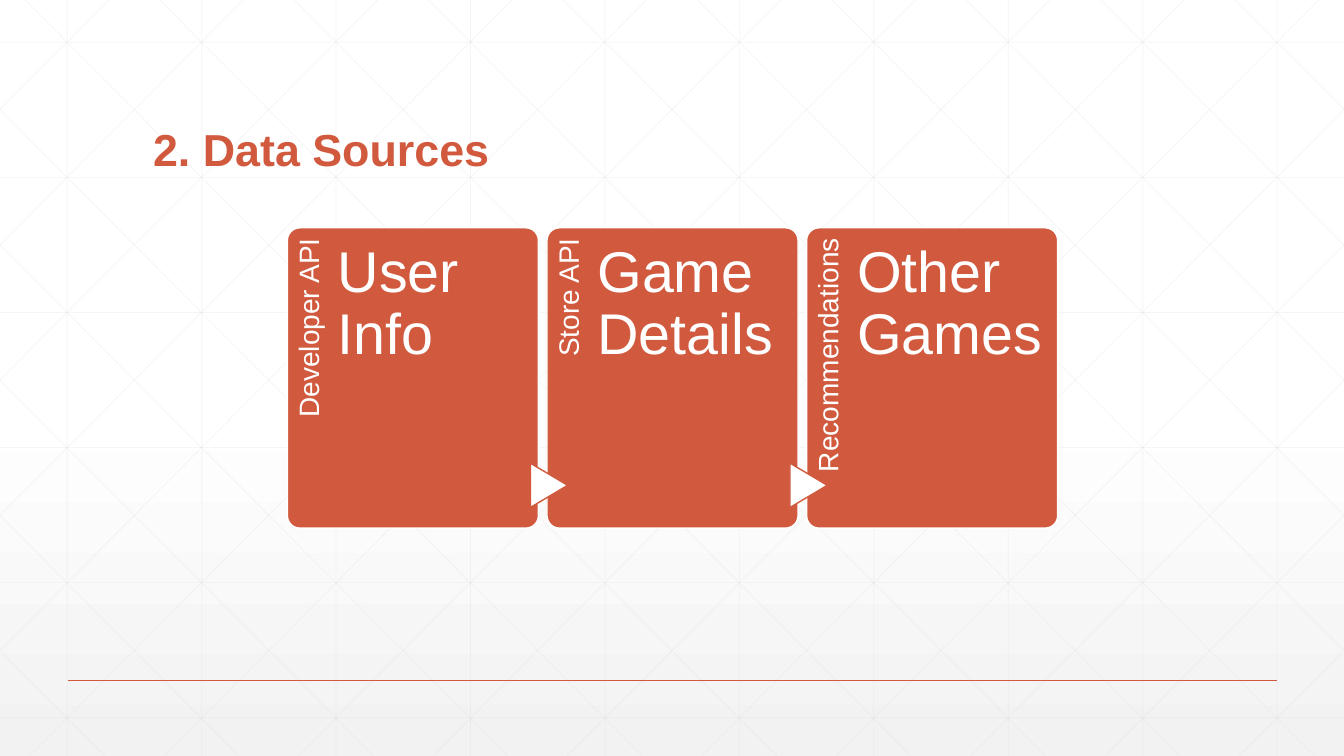
from copy import deepcopy

from lxml import etree
from pptx import Presentation
from pptx.dml.color import RGBColor
from pptx.enum import shapes, text
from pptx.oxml import ns
from pptx.util import Inches, Pt

RUST = RGBColor(0xD1, 0x5A, 0x3E)
WHITE = RGBColor(0xFF, 0xFF, 0xFF)
PALE = RGBColor(0xF2, 0xF2, 0xF2)
GRID = RGBColor(0xD9, 0xD9, 0xD9)
FONT = "Arial"

WIDTH, HEIGHT = 13.33, 7.5
STEP = 4 / 3
SLOPE = 1.006

CARD_LEFT, CARD_TOP, CARD_W, CARD_H = 2.85, 2.26, 2.49, 2.98
CARD_PITCH = 2.575
CARDS = [
    ("Developer API", "User Info"),
    ("Store API", "Game Details"),
    ("Recommendations", "Other Games"),
]


def paint_background(s):
    """Fade the slide from white to pale grey at the bottom."""
    fill = s.background.fill
    fill.gradient()
    fill.gradient_angle = 270
    first = fill.gradient_stops[0]._gs
    first.addnext(deepcopy(first))
    stops = [(0, WHITE), (0.53, WHITE), (1, PALE)]
    for stop, (position, color) in zip(fill.gradient_stops, stops):
        stop.position = position
        stop.color.rgb = color


def add_line(s, x1, y1, x2, y2, color, width, opacity=100):
    """Draw a straight line without a shadow."""
    c = s.shapes.add_connector(shapes.MSO_CONNECTOR.STRAIGHT,
                               Inches(x1), Inches(y1), Inches(x2), Inches(y2))
    c.line.color.rgb = color
    c.line.width = Pt(width)
    sp_pr = c._element.spPr
    if opacity < 100:
        rgb = sp_pr.find(".//" + ns.qn("a:srgbClr"))
        etree.SubElement(rgb, ns.qn("a:alpha"), val=str(opacity * 1000))
    etree.SubElement(sp_pr, ns.qn("a:effectLst"))


def add_grid(s):
    """Draw the faint vertical, horizontal and diagonal grid."""
    lines = []
    for i in range(10):
        x = STEP * (i + 0.5)
        lines.append((x, 0, x, HEIGHT))
    for i in range(6):
        y = 0.42 + 1.34 * i
        lines.append((0, y, WIDTH, y))
    for i in range(-5, 10):
        start = 0.25 + STEP * i
        x1 = max(start, 0)
        x2 = min(start + HEIGHT / SLOPE, WIDTH)
        y1, y2 = (x1 - start) * SLOPE, (x2 - start) * SLOPE
        lines.append((x1, y1, x2, y2))
        lines.append((WIDTH - x1, y1, WIDTH - x2, y2))
    for ends in lines:
        add_line(s, *ends, GRID, 0.5, opacity=25)


def add_text(s, words, box, size, color, insets=(0.1, 0.05, 0.1, 0.05)):
    """Add a wrapping one-paragraph text box and return it."""
    sp = s.shapes.add_textbox(*map(Inches, box))
    tf = sp.text_frame
    tf.word_wrap = True
    (tf.margin_left, tf.margin_top,
     tf.margin_right, tf.margin_bottom) = map(Inches, insets)
    tf.text = words
    p = tf.paragraphs[0]
    p.line_spacing = 0.9
    font = p.runs[0].font
    font.name, font.size, font.color.rgb = FONT, Pt(size), color
    return sp


def add_title(s, words):
    """Add the bold title, resting on the bottom of its box."""
    tf = add_text(s, words, (1.42, 0.55, 10.5, 1.25), 32, RUST).text_frame
    tf.vertical_anchor = text.MSO_ANCHOR.BOTTOM
    tf.paragraphs[0].runs[0].font.bold = True


def add_block(s, kind, box, fill, line):
    """Add a filled preset shape with a thin outline and return it."""
    sp = s.shapes.add_shape(kind, *map(Inches, box))
    sp.shadow.inherit = False
    sp.fill.solid()
    sp.fill.fore_color.rgb = fill
    sp.line.color.rgb = line
    sp.line.width = Pt(1)
    return sp


def add_card(s, x, source, content):
    """Add a card with its sideways source label and its content heading."""
    card = add_block(s, shapes.MSO_SHAPE.ROUNDED_RECTANGLE,
                     (x, CARD_TOP, CARD_W, CARD_H), RUST, WHITE)
    card.adjustments[0] = 0.05
    label = add_text(s, source, (x - 0.97, 3.24, 2.45, 0.5), 20, WHITE,
                     (0, 0.07, 0.1, 0))
    label.rotation = 270
    label.text_frame.paragraphs[0].alignment = text.PP_ALIGN.RIGHT
    add_text(s, content, (x + 0.5, CARD_TOP, 1.85, CARD_H), 41, WHITE,
             (0, 0.15, 0, 0))


def add_arrow(s, x):
    """Add the triangle that leads into the card at x."""
    sp = add_block(s, shapes.MSO_SHAPE.FLOWCHART_EXTRACT,
                   (x - 0.2, 4.63, 0.44, 0.37), WHITE, RUST)
    sp.rotation = 90


def main():
    """Build and save the slide."""
    prs = Presentation()
    prs.slide_width, prs.slide_height = Inches(WIDTH), Inches(HEIGHT)
    s = prs.slides.add_slide(prs.slide_layouts[6])
    paint_background(s)
    add_grid(s)
    add_line(s, 0.67, 6.75, 12.67, 6.75, RUST, 1)
    add_title(s, "2. Data Sources")
    for i, (source, content) in enumerate(CARDS):
        x = CARD_LEFT + CARD_PITCH * i
        add_card(s, x, source, content)
        if i > 0:
            add_arrow(s, x)
    prs.save("out.pptx")


main()
